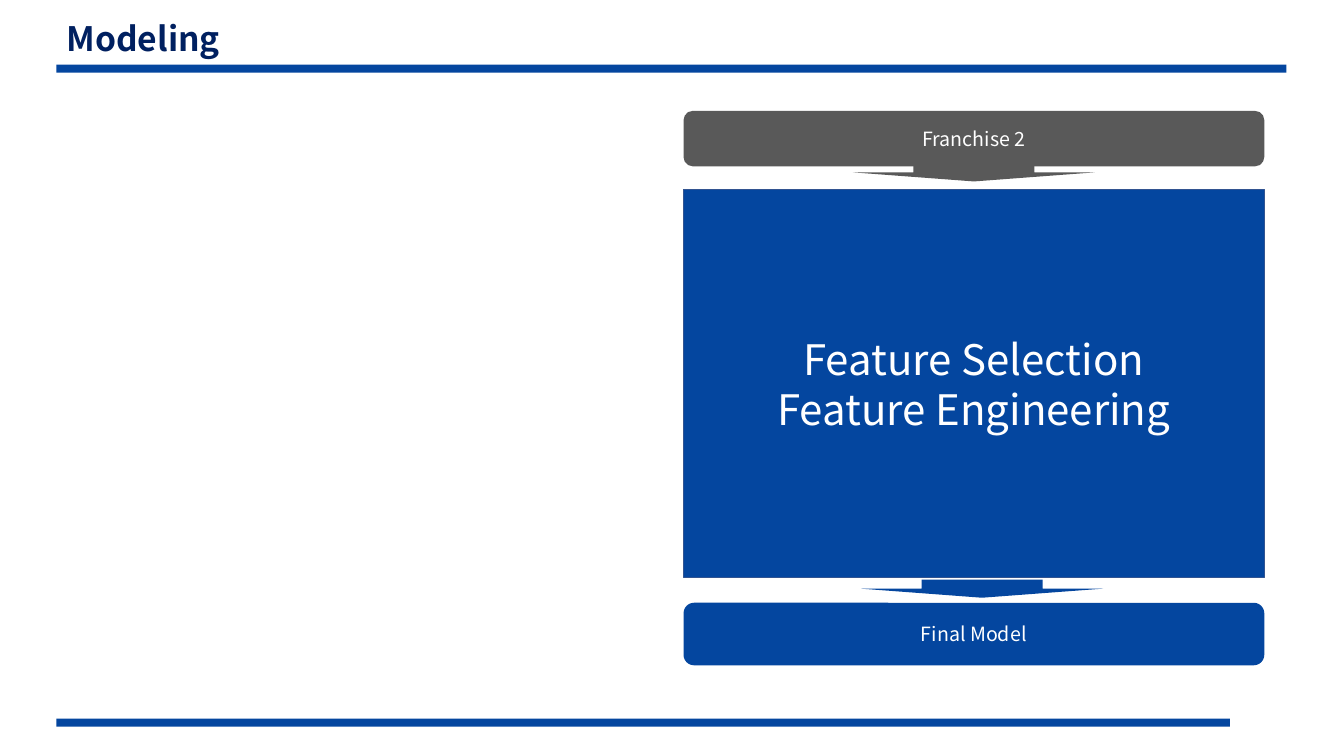
import pptx
import pptx.util
from pptx.dml.color import RGBColor
from pptx.enum.shapes import MSO_SHAPE
from pptx.enum.text import MSO_ANCHOR, PP_ALIGN
from pptx.util import Inches

BLUE = RGBColor(0x04, 0x46, 0x9F)
EDGE_BLUE = RGBColor(0x32, 0x54, 0x91)
NAVY = RGBColor(0x00, 0x20, 0x60)
GRAY = RGBColor(0x59, 0x59, 0x59)
WHITE = RGBColor(0xFF, 0xFF, 0xFF)

RULE_LEFT = 0.56
RULE_HEIGHT = 0.08
FLOW_LEFT = 6.78
FLOW_WIDTH = 5.76


class ModelingSlide:
    """Holds the deck, its only slide and the shared text style."""

    font_name = "Noto Sans CJK KR"

    def __init__(self):
        self.deck = pptx.Presentation()
        self.deck.slide_width = Inches(13.33)
        self.deck.slide_height = Inches(7.5)
        self.slide = self.deck.slides.add_slide(self.deck.slide_layouts[5])

    def add_run(self, paragraph, text, size, color, bold=False):
        run = paragraph.add_run()
        run.text = text
        run.font.name = self.font_name
        run.font.size = pptx.util.Pt(size)
        run.font.bold = bold
        run.font.color.rgb = color

    def title(self, text, left, top, width, height):
        heading = self.slide.shapes.title
        heading.left, heading.top = Inches(left), Inches(top)
        heading.width, heading.height = Inches(width), Inches(height)
        heading.text_frame.vertical_anchor = MSO_ANCHOR.MIDDLE
        paragraph = heading.text_frame.paragraphs[0]
        paragraph.alignment = PP_ALIGN.LEFT
        paragraph.line_spacing = 0.9
        self.add_run(paragraph, text, 24, NAVY, bold=True)

    def block(self, kind, left, top, width, height, fill, lines=(), size=14, edge=None):
        """Adds a filled shape with optional centred white lines of text."""
        shape = self.slide.shapes.add_shape(
            kind, Inches(left), Inches(top), Inches(width), Inches(height))
        shape.shadow.inherit = False
        shape.fill.solid()
        shape.fill.fore_color.rgb = fill
        if edge is None:
            shape.line.fill.background()
        else:
            shape.line.color.rgb = edge
            shape.line.width = pptx.util.Pt(1)
        frame = shape.text_frame
        frame.vertical_anchor = MSO_ANCHOR.MIDDLE
        for index, line in enumerate(lines):
            paragraph = frame.add_paragraph() if index else frame.paragraphs[0]
            paragraph.alignment = PP_ALIGN.CENTER
            self.add_run(paragraph, line, size, WHITE)

    def rule(self, top, width):
        self.block(MSO_SHAPE.RECTANGLE, RULE_LEFT, top, width, RULE_HEIGHT, BLUE)

    def stage(self, text, top, height, fill):
        self.block(MSO_SHAPE.ROUNDED_RECTANGLE, FLOW_LEFT, top, FLOW_WIDTH, height,
                   fill, [text])

    def arrow(self, left, top, fill):
        self.block(MSO_SHAPE.DOWN_ARROW, left, top, 2.4, 0.18, fill)

    def process(self, lines, top, height):
        self.block(MSO_SHAPE.RECTANGLE, FLOW_LEFT, top, FLOW_WIDTH, height,
                   BLUE, lines, size=30, edge=EDGE_BLUE)


def main():
    modeling = ModelingSlide()
    modeling.title("Modeling", RULE_LEFT, 0.17, 12.2, 0.47)
    modeling.rule(0.64, 12.2)
    modeling.rule(7.13, 11.64)

    modeling.stage("Final Model", 5.98, 0.62, BLUE)
    modeling.arrow(8.54, 5.75, BLUE)
    modeling.stage("Franchise 2", 1.1, 0.55, GRAY)
    modeling.arrow(8.46, 1.62, GRAY)
    modeling.process(["Feature Selection", "Feature Engineering"], 1.88, 3.85)

    modeling.deck.save("out.pptx")


if __name__ == "__main__":
    main()
